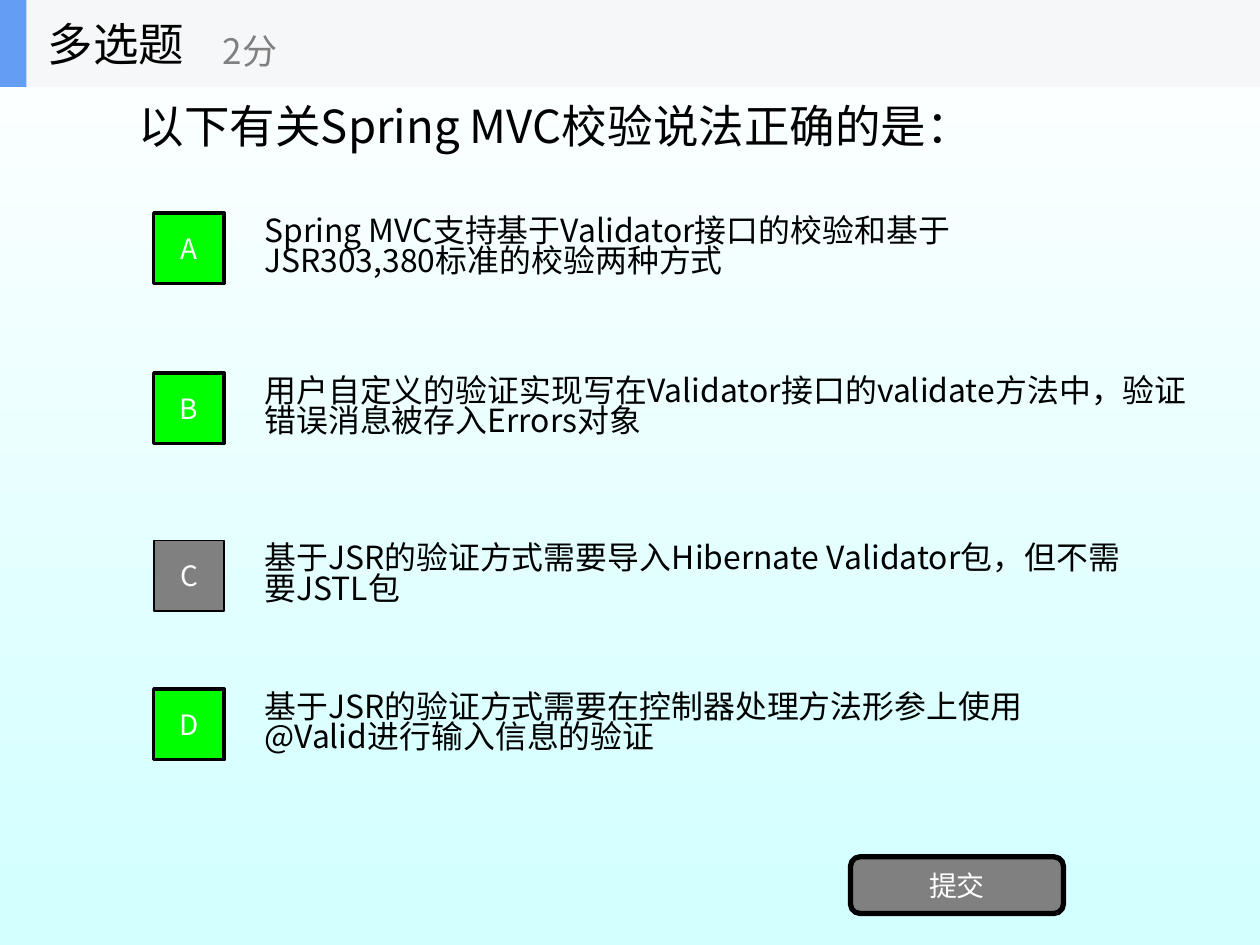
from dataclasses import dataclass

from lxml.etree import SubElement
from pptx import Presentation
from pptx.dml.color import RGBColor
from pptx.enum.shapes import MSO_SHAPE as Shape
from pptx.enum.text import MSO_ANCHOR as Anchor, MSO_AUTO_SIZE as AutoSize, PP_ALIGN as Align
from pptx.oxml.ns import qn
from pptx.util import Inches, Pt

FONT = "Noto Sans CJK SC"
COLORS = {
    "text": "000000",
    "muted": "808080",
    "light": "FFFFFF",
    "correct": "00FF00",
    "bar": "F6F7F8",
    "accent": "639EF4",
    "sky": "D2FFFF",
}
HEADER_HEIGHT = 0.69
BADGE_SIZE = 0.56
OPTION_HEIGHT = 0.7


@dataclass
class Option:
    letter: str
    statement: str
    top: float
    correct: bool = True
    width: float = 7


OPTIONS = [
    Option("A", "Spring MVC支持基于Validator接口的校验和基于JSR303,380标准的校验两种方式", 1.62),
    Option("B", "用户自定义的验证实现写在Validator接口的validate方法中，验证错误消息被存入Errors对象",
           2.89, width=7.65),
    Option("C", "基于JSR的验证方式需要导入Hibernate Validator包，但不需要JSTL包", 4.22, correct=False),
    Option("D", "基于JSR的验证方式需要在控制器处理方法形参上使用@Valid进行输入信息的验证", 5.4),
]


def rgb(color: str) -> RGBColor:
    return RGBColor.from_string(COLORS[color])


def write(shape, text: str, size: float, color: str = "text",
          align=Align.LEFT, line_spacing: float = 1.0) -> None:
    frame = shape.text_frame
    frame.word_wrap = True
    frame.auto_size = AutoSize.NONE
    frame.vertical_anchor = Anchor.MIDDLE
    paragraph = frame.paragraphs[0]
    paragraph.alignment = align
    paragraph.line_spacing = line_spacing
    run = paragraph.add_run()
    run.text = text
    run.font.size = Pt(size)
    run.font.color.rgb = rgb(color)
    run.font.name = FONT
    # The East Asian typeface has no public property
    SubElement(run.font._element, qn("a:ea"), typeface=FONT)


def add_label(shapes, box: tuple, text: str, size: float, **style) -> None:
    write(shapes.add_textbox(*map(Inches, box)), text, size, **style)


def add_block(shapes, kind, box: tuple, fill: str, line_width: float = 0):
    """Add a filled shape, outlined in black when a line width is given."""
    block = shapes.add_shape(kind, *map(Inches, box))
    block.shadow.inherit = False
    block.fill.solid()
    block.fill.fore_color.rgb = rgb(fill)
    if line_width:
        block.line.color.rgb = rgb("text")
        block.line.width = Pt(line_width)
    else:
        block.line.fill.background()
    return block


def paint_background(slide) -> None:
    fill = slide.background.fill
    fill.gradient()
    fill.gradient_angle = 270
    for stop, color in zip(fill.gradient_stops, ("light", "sky")):
        stop.color.rgb = rgb(color)


def add_question(slide, text: str) -> None:
    title = slide.shapes.title
    title.left, title.top, title.width, title.height = map(Inches, (1, 0.69, 8, 0.61))
    write(title, text, 26)


def add_option(shapes, option: Option) -> None:
    add_label(shapes, (2, option.top, option.width, OPTION_HEIGHT),
              option.statement, 18.2, line_spacing=0.8)
    badge_top = option.top + (OPTION_HEIGHT - BADGE_SIZE) / 2
    fill, line_width = ("correct", 2) if option.correct else ("muted", 1)
    badge = add_block(shapes, Shape.RECTANGLE, (1.22, badge_top, BADGE_SIZE, BADGE_SIZE),
                      fill, line_width)
    write(badge, option.letter, 16, "light", Align.CENTER)


def add_submit_button(shapes) -> None:
    button = add_block(shapes, Shape.ROUNDED_RECTANGLE, (6.75, 6.8, 1.69, 0.45), "muted", 3)
    button.adjustments[0] = 0.167
    write(button, "提交", 16, "light", Align.CENTER)


def add_header(shapes) -> None:
    header = shapes.add_group_shape().shapes
    add_block(header, Shape.RECTANGLE, (0, 0, 10, HEADER_HEIGHT), "bar")
    add_block(header, Shape.RECTANGLE, (0, 0, 0.21, HEADER_HEIGHT), "accent")
    add_label(header, (0.28, 0, 2.08, HEADER_HEIGHT), "多选题", 26)
    add_label(header, (1.67, 0.12, 2.5, 0.56), "2分", 20, color="muted")


def main() -> None:
    deck = Presentation()
    deck.slide_width, deck.slide_height = Inches(10), Inches(7.5)
    slide = deck.slides.add_slide(deck.slide_layouts[5])
    paint_background(slide)
    add_question(slide, "以下有关Spring MVC校验说法正确的是：")
    for option in OPTIONS:
        add_option(slide.shapes, option)
    add_submit_button(slide.shapes)
    add_header(slide.shapes)
    deck.save("out.pptx")


if __name__ == "__main__":
    main()
